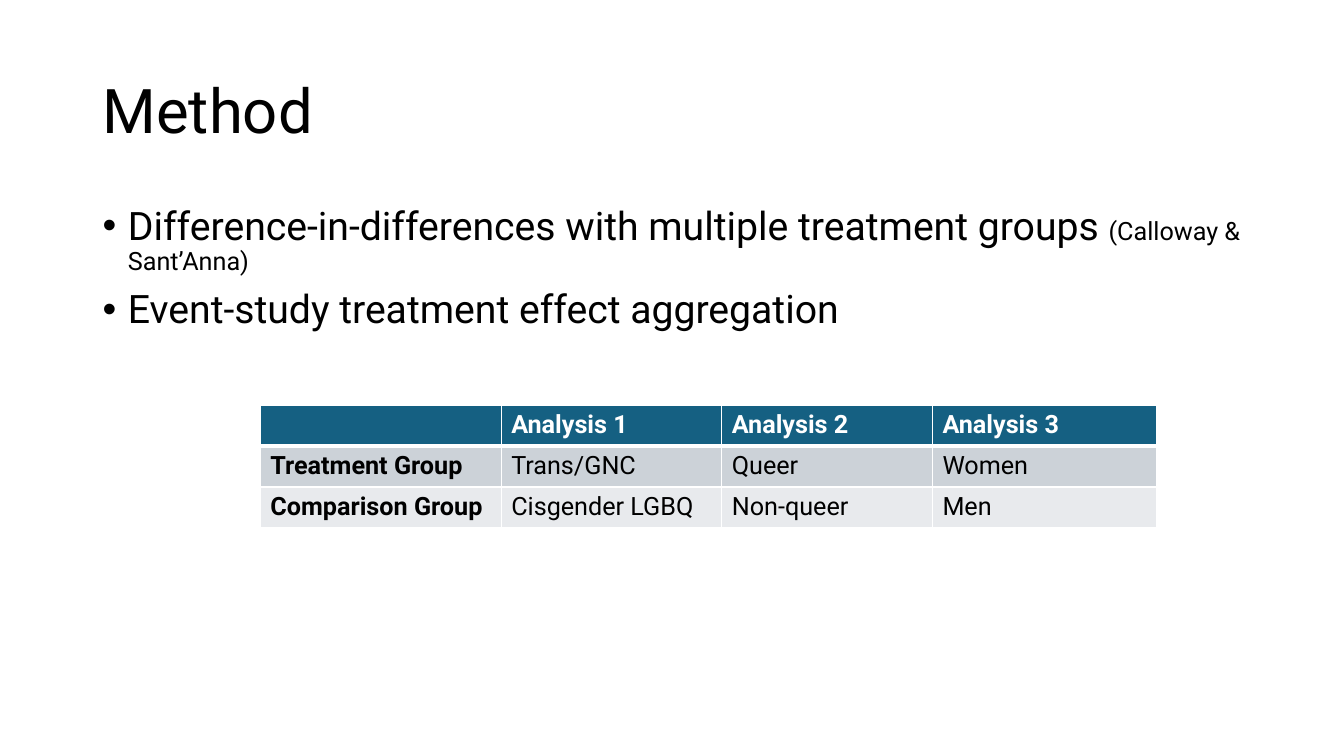
from lxml.etree import SubElement
from pptx import Presentation
from pptx.dml.color import RGBColor as Rgb
from pptx.enum.text import MSO_ANCHOR as Anchor, MSO_AUTO_SIZE as AutoSize, PP_ALIGN as Align
from pptx.oxml.ns import qn
from pptx.util import Cm, Pt

COLORS = {"ink": "000000", "paper": "FFFFFF", "header": "156082",
          "treatment": "CCD2D8", "comparison": "E8EAED"}


def add_text(paragraph, text, size=18, color="ink", bold=False, font="Roboto"):
    """Append a formatted run to a paragraph."""
    run = paragraph.add_run()
    run.text = text
    run.font.name = font
    run.font.size = Pt(size)
    run.font.bold = bold
    run.font.color.rgb = Rgb.from_string(COLORS[color])


class MethodSlide:
    """A slide with its text and table style."""

    def __init__(self, presentation):
        """Add a title-and-content slide."""
        self.slide = presentation.slides.add_slide(presentation.slide_layouts[1])
        self.line_spacing = 0.9
        self.bullet_indent = Cm(0.64)

    def place(self, placeholder, top, height, anchor):
        """Position a placeholder and return its text frame."""
        placeholder.left, placeholder.top = Cm(2.33), Cm(top)
        placeholder.width, placeholder.height = Cm(29.21), Cm(height)
        frame = placeholder.text_frame
        frame.word_wrap = True
        frame.auto_size = AutoSize.NONE
        frame.vertical_anchor = anchor
        return frame

    def title(self, text):
        """Fill the title."""
        heading = self.place(self.slide.shapes.title, 1.01, 3.68, Anchor.MIDDLE).paragraphs[0]
        heading.alignment = Align.LEFT
        heading.line_spacing = self.line_spacing
        add_text(heading, text, size=44)

    def bullets(self, points):
        """Fill the body with bulleted points made of (text, size) parts."""
        frame = self.place(self.slide.placeholders[1], 5.07, 12.09, Anchor.TOP)
        for index, parts in enumerate(points):
            point = frame.add_paragraph() if index else frame.paragraphs[0]
            point.line_spacing = self.line_spacing
            point.space_before = Pt(10 if index else 0)
            properties = point._p.get_or_add_pPr()
            properties.set("marL", str(self.bullet_indent))
            properties.set("indent", str(-self.bullet_indent))
            SubElement(properties, qn("a:buFont"), typeface="Arial")
            SubElement(properties, qn("a:buChar"), char="•")
            for text, size in parts:
                add_text(point, text, size=size)

    def borders(self, cell, **widths):
        """Draw the cell borders, with widths in points by side."""
        properties = cell._tc.get_or_add_tcPr()
        for side, width in widths.items():
            line = SubElement(properties, qn(f"a:ln{side}"), w=str(Pt(width)))
            fill = SubElement(line, qn("a:solidFill"))
            SubElement(fill, qn("a:srgbClr"), val=COLORS["paper"])

    def table(self, rows, fills, column_widths, row_height):
        """Add a table with a header row and a bold first column."""
        table = self.slide.shapes.add_table(
            len(rows), len(column_widths), Cm(6.56), Cm(10.21),
            Cm(sum(column_widths)), Cm(row_height * len(rows))).table
        for column, width in zip(table.columns, column_widths):
            column.width = Cm(width)
        for r, (labels, fill) in enumerate(zip(rows, fills)):
            table.rows[r].height = Cm(row_height)
            for c, label in enumerate(labels):
                cell = table.cell(r, c)
                self.borders(cell, L=1, R=1, T=3 if r == 1 else 1, B=3 if r == 0 else 1)
                cell.fill.solid()
                cell.fill.fore_color.rgb = Rgb.from_string(COLORS[fill])
                if label:
                    add_text(cell.text_frame.paragraphs[0], label,
                             color="ink" if r else "paper", bold=r == 0 or c == 0)


def main():
    """Build the slide and save it."""
    presentation = Presentation()
    presentation.slide_width, presentation.slide_height = Cm(33.87), Cm(19.05)
    method = MethodSlide(presentation)
    method.title("Method")
    method.bullets([
        [("Difference-in-differences with multiple treatment groups ", 28),
         ("(Calloway & Sant’Anna)", 18)],
        [("Event-study treatment effect aggregation", 28)],
    ])
    method.table(
        [["", "Analysis 1", "Analysis 2", "Analysis 3"],
         ["Treatment Group", "Trans/GNC", "Queer", "Women"],
         ["Comparison Group", "Cisgender LGBQ", "Non-queer", "Men"]],
        fills=["header", "treatment", "comparison"],
        column_widths=[6.07, 5.56, 5.31, 5.64], row_height=1.03)
    presentation.save("out.pptx")


if __name__ == "__main__":
    main()
